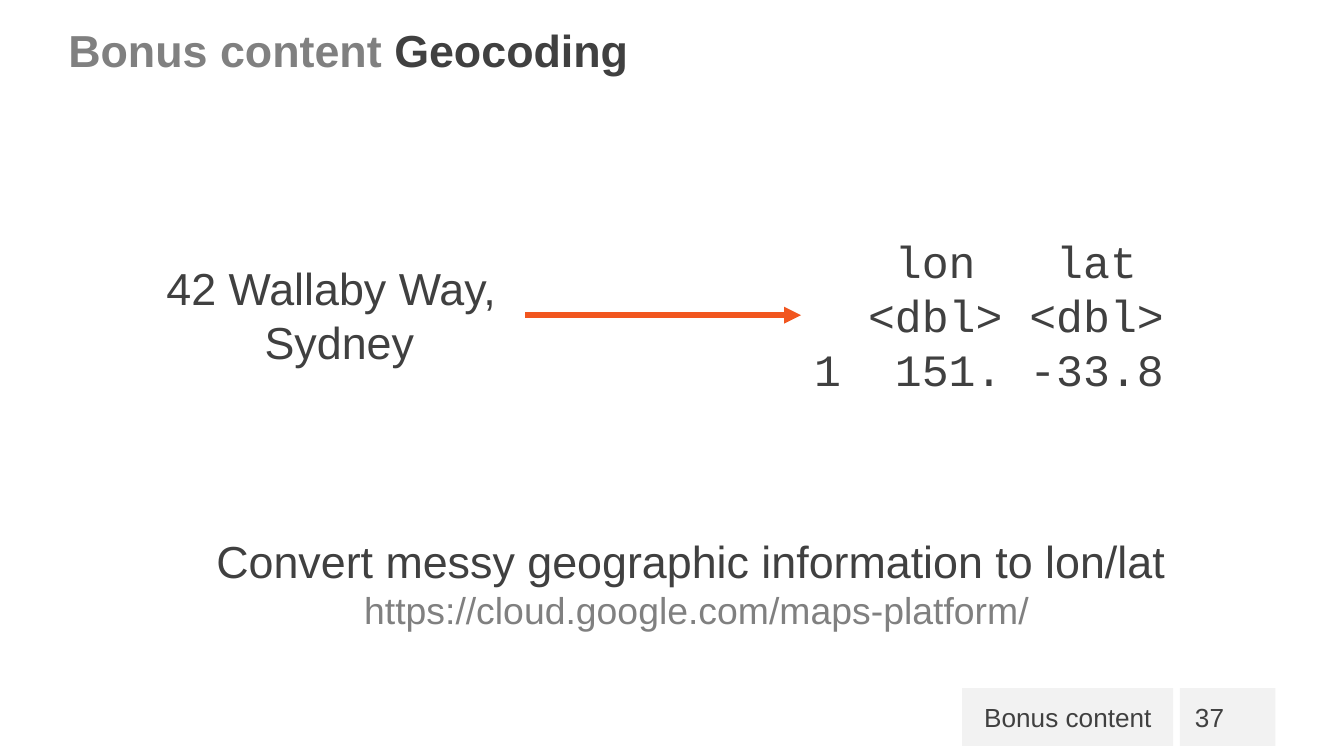
from lxml.etree import SubElement
from pptx import Presentation
from pptx.dml.color import RGBColor
from pptx.enum.shapes import MSO_CONNECTOR, MSO_SHAPE
from pptx.enum.text import MSO_ANCHOR, MSO_AUTO_SIZE, PP_ALIGN
from pptx.oxml.ns import qn
from pptx.util import Inches, Pt

DARK = RGBColor(0x40, 0x40, 0x40)
GRAY = RGBColor(0x80, 0x80, 0x80)
PALE = RGBColor(0xF2, 0xF2, 0xF2)
ORANGE = RGBColor(0xF1, 0x56, 0x1F)
LEFT, CENTER, RIGHT = PP_ALIGN.LEFT, PP_ALIGN.CENTER, PP_ALIGN.RIGHT
LINE_FACTOR = 1.2

TITLE = [(LEFT, 24, [("Bonus content ", GRAY), ("Geocoding", DARK)])]
ADDRESS = [(LEFT, 24, [("42 Wallaby Way,", DARK)]), (CENTER, 24, [("Sydney", DARK)])]
COORDINATES = [
    (LEFT, 24, [(row, DARK)])
    for row in ("   lon   lat", "  <dbl> <dbl>", "1  151. -33.8")
]
CAPTION = [
    (CENTER, 24, [("Convert messy geographic information to lon/lat ", DARK)]),
    (CENTER, 20, [("https://cloud.google.com/maps-platform/", GRAY)]),
]
SECTION = [(RIGHT, 14, [("Bonus content", DARK)])]
PAGE_NUMBER = [(CENTER, 14, [("37", DARK)])]

FOOTER_TOP, FOOTER_HEIGHT = 5.12, 0.43


def write(box, lines, font="Arial", bold=False, wrap=False):
    frame = box.text_frame
    frame.word_wrap = wrap
    frame.auto_size = MSO_AUTO_SIZE.SHAPE_TO_FIT_TEXT
    for index, (alignment, size, spans) in enumerate(lines):
        paragraph = frame.add_paragraph() if index else frame.paragraphs[0]
        paragraph.alignment = alignment
        paragraph.line_spacing = Pt(size * LINE_FACTOR)
        for text, color in spans:
            span = paragraph.add_run()
            span.text = text
            span.font.name = font
            span.font.size = Pt(size)
            span.font.bold = bold
            span.font.color.rgb = color


def add_text(page, area, lines, **style):
    box = page.shapes.add_textbox(*map(Inches, area))
    write(box, lines, **style)
    return box


def add_footer(page, left, width, lines=None, margin=0.1):
    area = (left, FOOTER_TOP, width, FOOTER_HEIGHT)
    block = page.shapes.add_shape(MSO_SHAPE.RECTANGLE, *map(Inches, area))
    block.shadow.inherit = False
    block.fill.solid()
    block.fill.fore_color.rgb = PALE
    block.line.fill.background()
    if lines:
        frame = block.text_frame
        frame.vertical_anchor = MSO_ANCHOR.MIDDLE
        frame.margin_left = frame.margin_right = Inches(margin)
        frame.margin_top = frame.margin_bottom = Inches(0.1)
        write(block, lines)


def add_arrow(page, source, target):
    arrow = page.shapes.add_connector(MSO_CONNECTOR.STRAIGHT, 0, 0, 0, 0)
    arrow.begin_connect(source, 3)
    arrow.end_connect(target, 1)
    arrow.line.color.rgb = ORANGE
    arrow.line.width = Pt(3)
    SubElement(arrow.line._get_or_add_ln(), qn("a:tailEnd"), type="triangle")
    SubElement(arrow._element.spPr, qn("a:effectLst"))


def main():
    deck = Presentation()
    deck.slide_width = Inches(10)
    deck.slide_height = deck.slide_width * 9 // 16
    page = deck.slides.add_slide(deck.slide_layouts[6])

    add_footer(page, 8.78, 0.71)
    add_text(page, (0.41, 0.12, 4.4, 0.5), TITLE, bold=True)
    add_footer(page, 7.16, 1.57, SECTION, margin=0.16)
    add_footer(page, 8.78, 0.44, PAGE_NUMBER)
    add_text(page, (0.78, 3.92, 8.81, 0.84), CAPTION, wrap=True)
    address = add_text(page, (1.14, 1.89, 2.77, 0.91), ADDRESS, wrap=True)
    coordinates = add_text(page, (5.96, 1.69, 2.82, 1.31), COORDINATES, font="Courier New")
    add_arrow(page, address, coordinates)

    deck.save("out.pptx")


if __name__ == "__main__":
    main()
